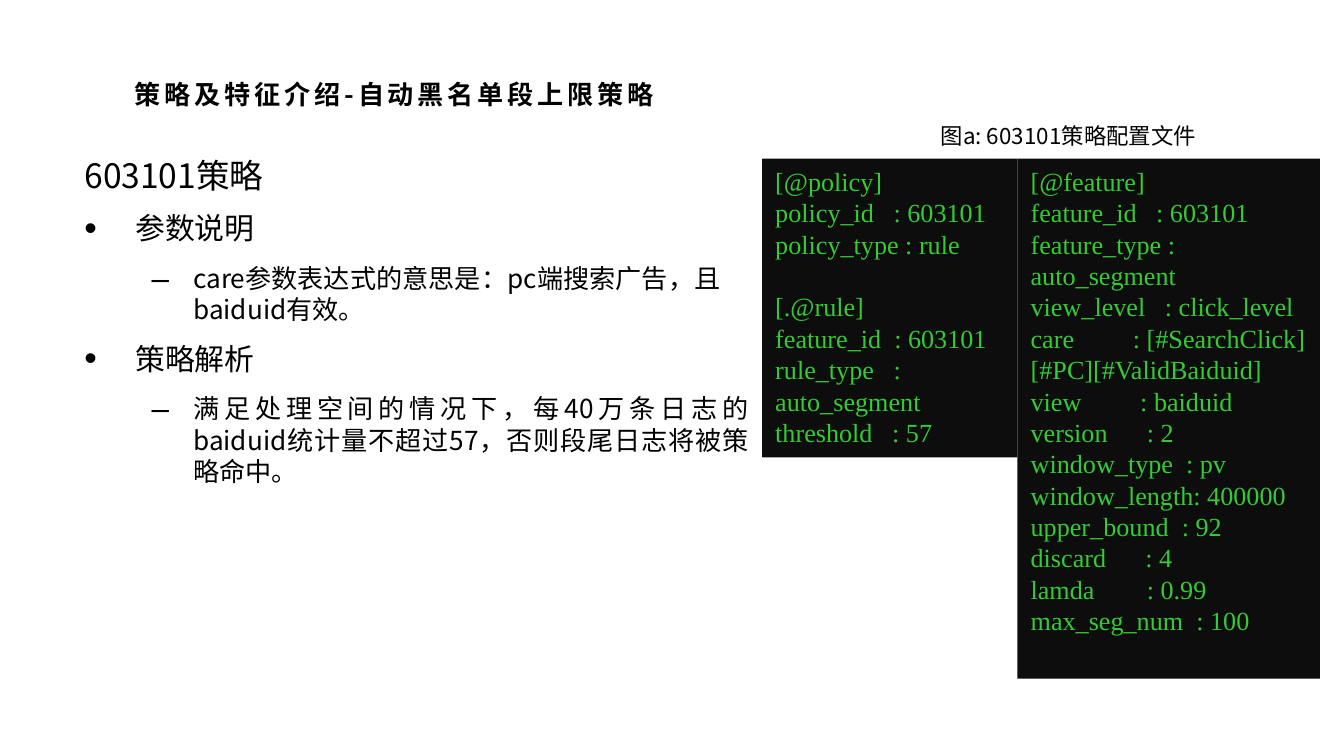
from lxml.etree import SubElement
from pptx import Presentation
from pptx.dml.color import RGBColor
from pptx.enum.shapes import MSO_SHAPE as Shape
from pptx.enum.text import MSO_ANCHOR as Anchor, PP_ALIGN as Align
from pptx.oxml.ns import qn
from pptx.util import Inches, Pt

BLACK = RGBColor(0x00, 0x00, 0x00)
PANEL = RGBColor(0x0D, 0x0D, 0x0D)
GREEN = RGBColor(0x33, 0xCC, 0x33)
SANS = "Noto Sans CJK SC"
SERIF = "Times New Roman"

WIDTH = Inches(10)
HEIGHT = WIDTH * 9 // 16

# Left, top, width and height as percentages of the slide
TITLE_BOX = (9.05, 7.82, 41.3, 7.64)
BODY_BOX = (5.3, 19.56, 51.4, 76.09)
CAPTION_BOX = (62.7, 15.25, 33.6, 5.33)
POLICY_BOX = (56.7, 21, 19, 39.5)
FEATURE_BOX = (75.7, 21, 22.5, 68.8)

# Size, space before, bullet, left margin and hanging indent in inches
LEVELS = {
    "heading": (18, 0, None, 0, 0),
    "topic": (16, 2, "•", 0.38, 0.38),
    "detail": (14, 3, "–", 0.81, 0.31),
}

BODY = [
    ("heading", "603101策略", Align.LEFT),
    ("topic", "参数说明", Align.JUSTIFY),
    ("detail", "care参数表达式的意思是：pc端搜索广告，且baiduid有效。", Align.LEFT),
    ("topic", "策略解析", Align.JUSTIFY),
    ("detail", "满足处理空间的情况下，每40万条日志的baiduid统计量不超过57，"
               "否则段尾日志将被策略命中。", Align.JUSTIFY),
]

POLICY_SECTIONS = [
    ["[@policy]", "policy_id   : 603101", "policy_type : rule"],
    ["[.@rule]", "feature_id  : 603101", "rule_type   : auto_segment",
     "threshold   : 57"],
]

FEATURE_SECTIONS = [[
    "[@feature]",
    "feature_id   : 603101",
    "feature_type : auto_segment",
    "view_level   : click_level",
    "care         : [#SearchClick][#PC][#ValidBaiduid]",
    "view         : baiduid",
    "version      : 2",
    "window_type  : pv",
    "window_length: 400000",
    "upper_bound  : 92",
    "discard      : 4",
    "lamda        : 0.99",
    "max_seg_num  : 100",
]]


def place(box):
    """Turn percentages of the slide into lengths."""
    return [round(share * side / 100)
            for share, side in zip(box, (WIDTH, HEIGHT, WIDTH, HEIGHT))]


def add_text_frame(slide, box):
    frame = slide.shapes.add_textbox(*place(box)).text_frame
    frame.word_wrap = True
    return frame


def next_paragraph(frame, index):
    return frame.paragraphs[0] if index == 0 else frame.add_paragraph()


def write(paragraph, text, face, size, color, bold=False, spacing=None, **layout):
    """Add one run and set the paragraph's layout values."""
    for key, value in layout.items():
        setattr(paragraph, key, value)
    run = paragraph.add_run()
    run.text = text
    for key, value in {"name": face, "size": Pt(size), "bold": bold}.items():
        setattr(run.font, key, value)
    run.font.color.rgb = color
    properties = run._r.get_or_add_rPr()
    SubElement(properties, qn("a:ea")).set("typeface", face)
    if spacing:
        properties.set("spc", str(spacing * 100))


def add_bullet(paragraph, mark, margin, hanging):
    properties = paragraph._p.get_or_add_pPr()
    properties.set("marL", str(Inches(margin)))
    properties.set("indent", str(-Inches(hanging)))
    for tag, key, value in (("a:buSzPct", "val", "120000"),
                            ("a:buFont", "typeface", "Arial"),
                            ("a:buChar", "char", mark)):
        SubElement(properties, qn(tag)).set(key, value)


def add_title(slide, box):
    write(add_text_frame(slide, box).paragraphs[0], "策略及特征介绍-自动黑名单段上限策略",
          SANS, 14, BLACK, bold=True, spacing=2, line_spacing=1.4)


def add_body(slide, box):
    frame = add_text_frame(slide, box)
    for index, (level, text, alignment) in enumerate(BODY):
        size, before, mark, margin, hanging = LEVELS[level]
        paragraph = next_paragraph(frame, index)
        if mark:
            add_bullet(paragraph, mark, margin, hanging)
        write(paragraph, text, SANS, size, BLACK, alignment=alignment,
              space_before=Pt(before), space_after=Pt(6))


def add_caption(slide, box):
    write(add_text_frame(slide, box).paragraphs[0], "图a: 603101策略配置文件",
          SANS, 12, BLACK, alignment=Align.CENTER)


def add_code_panel(slide, box, sections):
    panel = slide.shapes.add_shape(Shape.RECTANGLE, *place(box))
    panel.shadow.inherit = False
    panel.fill.solid()
    panel.fill.fore_color.rgb = PANEL
    panel.line.fill.background()
    frame = panel.text_frame
    frame.word_wrap = True
    frame.vertical_anchor = Anchor.TOP
    lines = [(text, section > 0 and row == 0)
             for section, texts in enumerate(sections)
             for row, text in enumerate(texts)]
    for index, (text, opens_section) in enumerate(lines):
        write(next_paragraph(frame, index), text, SERIF, 14, GREEN,
              alignment=Align.LEFT, space_before=Pt(16.8 if opens_section else 0))


def main():
    deck = Presentation()
    deck.slide_width, deck.slide_height = WIDTH, HEIGHT
    slide = deck.slides.add_slide(deck.slide_layouts[6])
    add_title(slide, TITLE_BOX)
    add_body(slide, BODY_BOX)
    add_code_panel(slide, FEATURE_BOX, FEATURE_SECTIONS)
    add_caption(slide, CAPTION_BOX)
    add_code_panel(slide, POLICY_BOX, POLICY_SECTIONS)
    deck.save("out.pptx")


if __name__ == "__main__":
    main()
